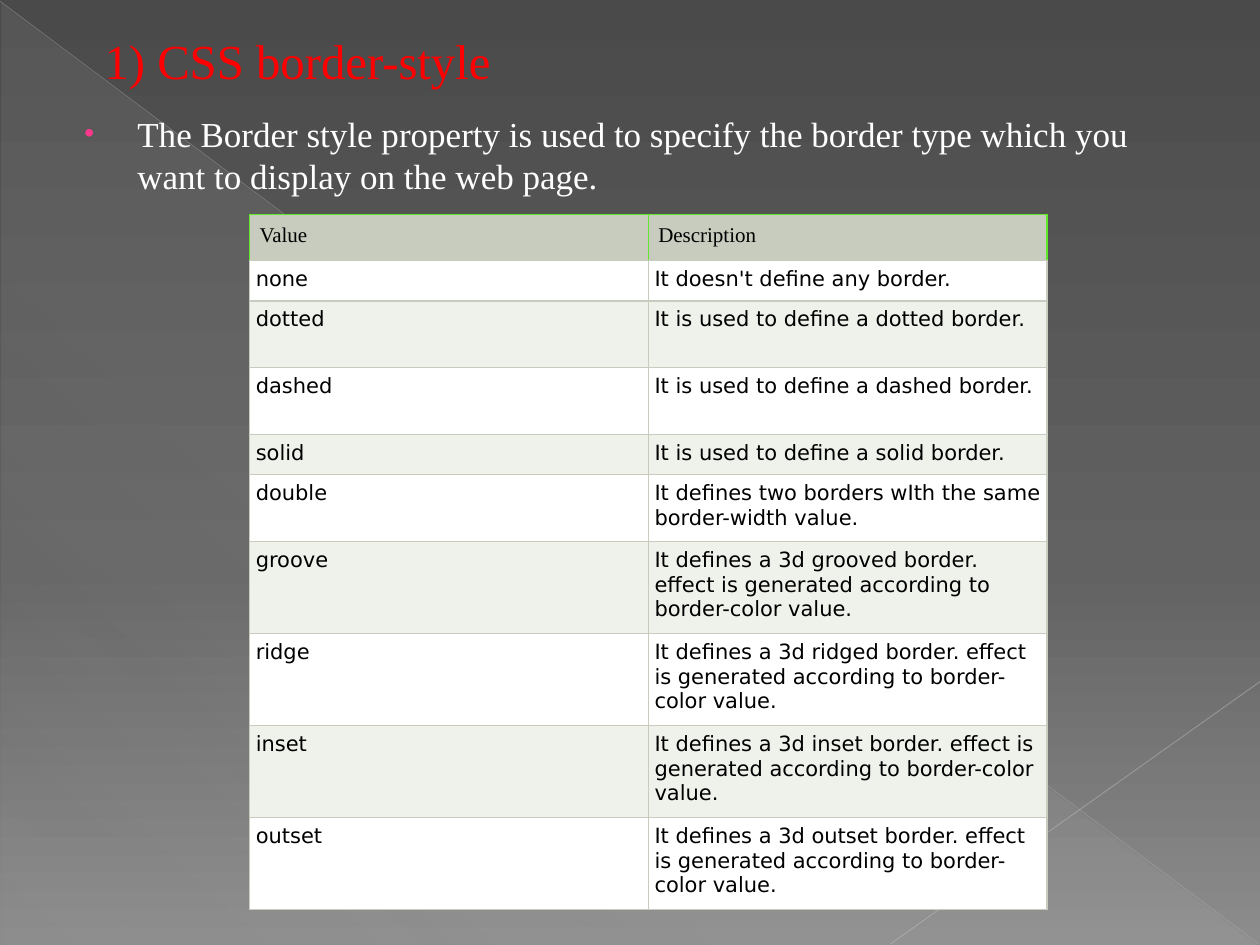
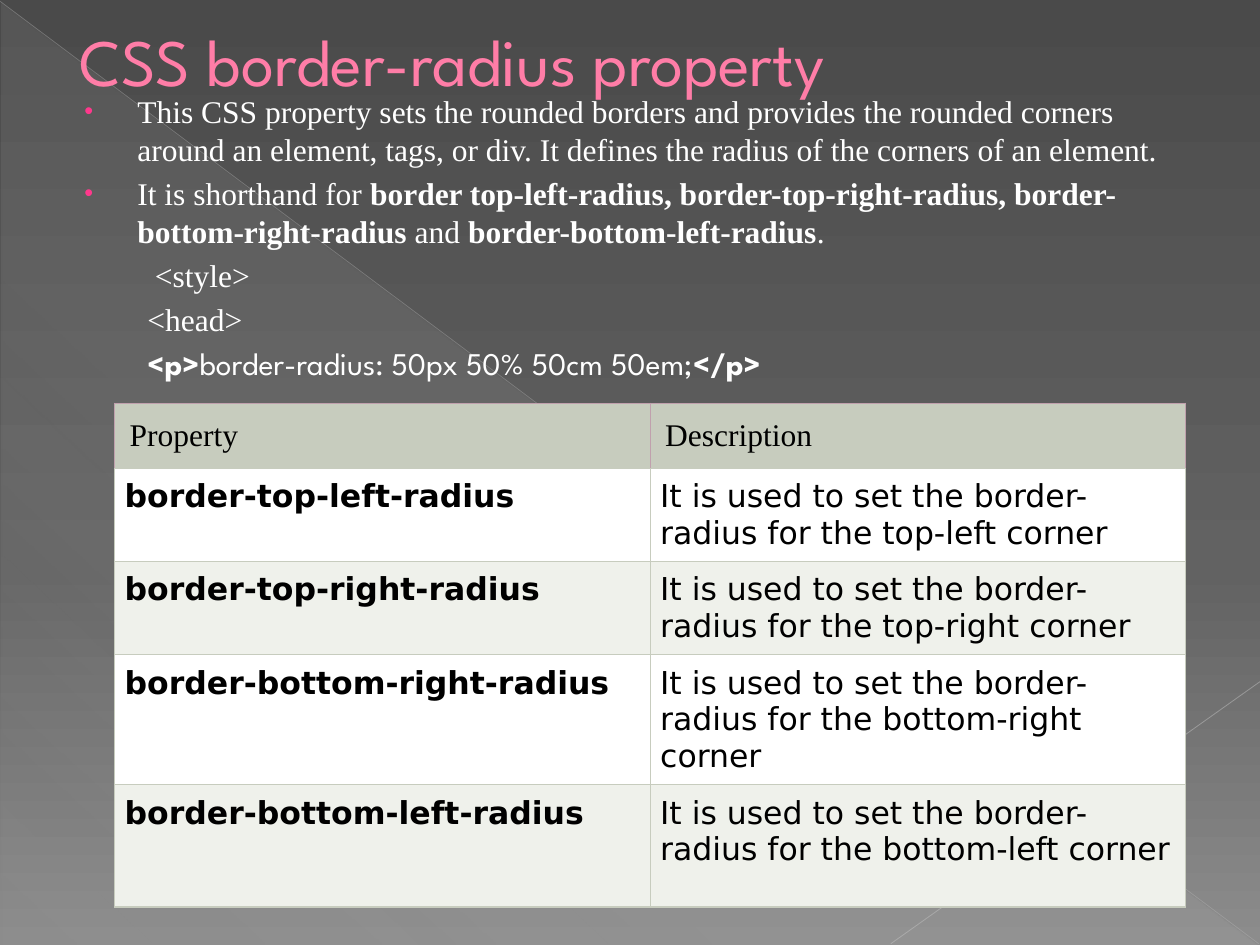
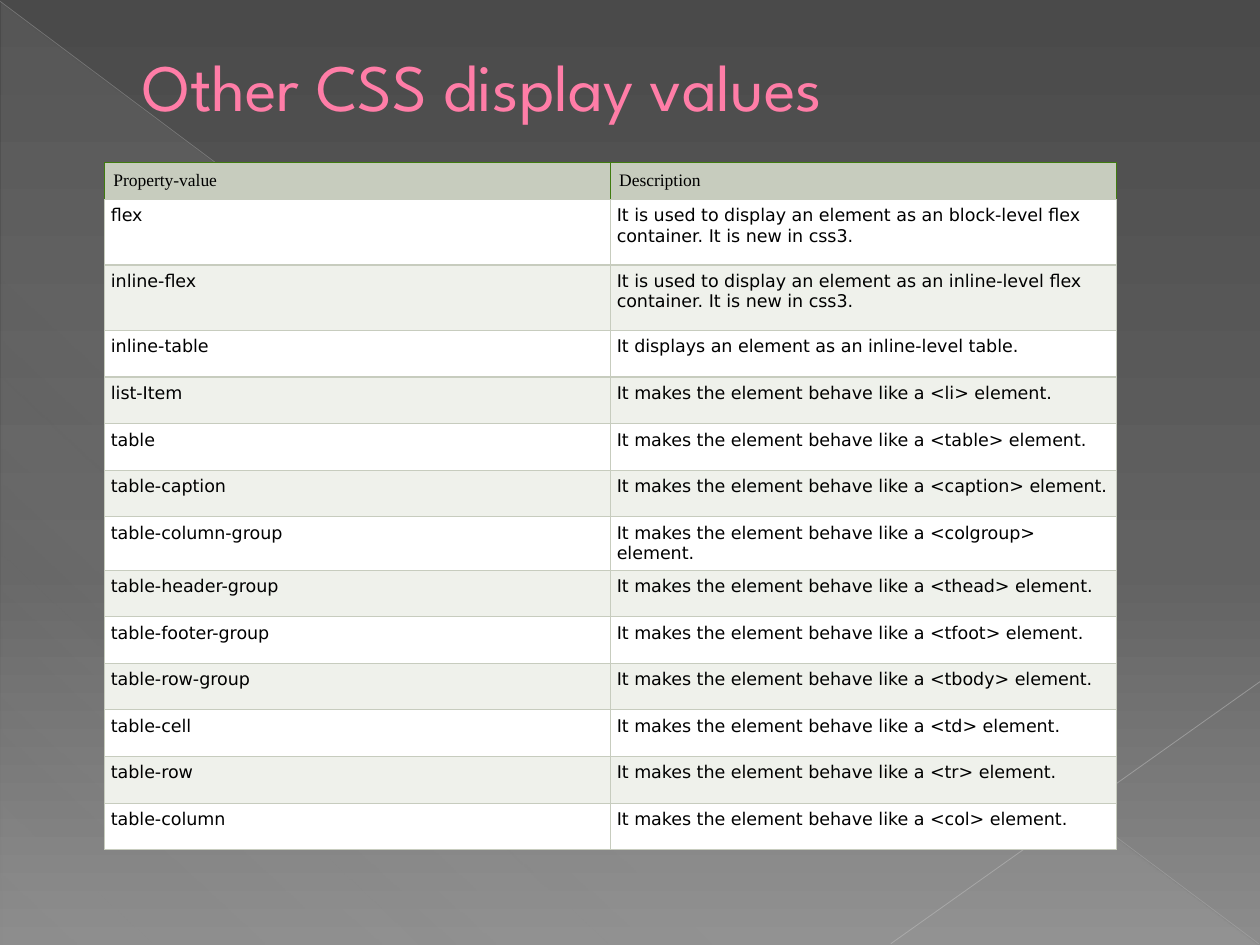
from lxml.etree import SubElement as Sub
from pptx import Presentation
from pptx.dml.color import RGBColor as RGB
from pptx.enum.shapes import MSO_CONNECTOR as Link, MSO_SHAPE as Kind
from pptx.enum.text import MSO_ANCHOR as Anchor, MSO_AUTO_SIZE as Auto, PP_ALIGN as Align
from pptx.oxml.ns import qn
from pptx.util import Inches, Pt

HUES = {
    "dark": "4A4A4A", "mid": "626262", "light": "8C8C8C", "haze": "D2D2D2",
    "long": "BFBFBF", "short": "C6C6C6", "pink": "FF7DA7", "edge": "B12761",
    "dot": "FF388C", "red": "FF0000", "white": "FFFFFF", "black": "000000",
    "head": "C7CCBE", "band": "EFF1EB",
    "lime": "60E72C", "mauve": "C0A0AD", "green": "407B10",
}
SERIF, SANS, ROUND = "Times New Roman", "DejaVu Sans", "League Spartan"

EFFECT = "It defines a 3d {} border. effect is generated according to border-color value."
STYLES = [
    ("Value", "Description"),
    ("none", "It doesn't define any border."),
    *[(name, f"It is used to define a {name} border.") for name in ("dotted", "dashed", "solid")],
    ("double", "It defines two borders wIth the same border-width value."),
    *[(name, EFFECT.format(look)) for name, look in (
        ("groove", "grooved"), ("ridge", "ridged"), ("inset", "inset"), ("outset", "outset"))],
]
CORNERS = [("Property", "Description")] + [
    (f"**border-{side}-radius**", f"It is used to set the border-radius for the {side} corner")
    for side in ("top-left", "top-right", "bottom-right", "bottom-left")]
FLEX = "It is used to display an element as an {}-level flex container. It is new in css3."
LIKE = [
    ("list-Item", "li"), ("table", "table"), ("table-caption", "caption"),
    ("table-column-group", "colgroup"), ("table-header-group", "thead"),
    ("table-footer-group", "tfoot"), ("table-row-group", "tbody"),
    ("table-cell", "td"), ("table-row", "tr"), ("table-column", "col"),
]
VALUES = [
    ("Property-value", "Description"),
    ("flex", FLEX.format("block")),
    ("inline-flex", FLEX.format("inline")),
    ("inline-table", "It displays an element as an inline-level table."),
    *[(name, f"It makes the element behave like a <{tag}> element.") for name, tag in LIKE],
]


def paint(node, hue, alpha=None):
    """Add a colour, with opacity in percent, to an XML node."""
    clr = Sub(node, qn("a:srgbClr"), val=HUES[hue])
    if alpha is not None:
        Sub(clr, qn("a:alpha"), val=str(alpha * 1000))


def shade(fill, node, stops, angle):
    """Give a fill a gradient of (place, hue, opacity) stops."""
    fill.gradient()
    grad = node.find(".//" + qn("a:gradFill"))
    marks = grad.find(qn("a:gsLst"))
    for old in list(marks):
        marks.remove(old)
    for pos, hue, alpha in stops:
        paint(Sub(marks, qn("a:gs"), pos=str(pos * 1000)), hue, alpha)
    grad.find(qn("a:lin")).set("ang", str(angle * 60000))


def place(shape, box):
    shape.left, shape.top, shape.width, shape.height = map(Inches, box)


def style(para, size, font, hue):
    para.font.size, para.font.name = Pt(size), font
    para.font.color.rgb = RGB.from_string(HUES[hue])


def write(para, text):
    """Fill a paragraph; text between double stars is bold."""
    for i, part in enumerate(text.split("**")):
        if part:
            run = para.add_run()
            run.text = part
            if i % 2:
                run.font.bold = True


def indent(para, left, first=0):
    props = para._p.get_or_add_pPr()
    props.set("marL", str(Inches(left)))
    props.set("indent", str(Inches(first)))
    return props


def add_line(slide, ends, hue, width, alpha):
    line = slide.shapes.add_connector(Link.STRAIGHT, *map(Inches, ends))
    line.line.width = Pt(width)
    line.line.color.rgb = RGB.from_string(HUES[hue])
    clr = line.element.find(".//" + qn("a:ln")).find(".//" + qn("a:srgbClr"))
    Sub(clr, qn("a:alpha"), val=str(alpha * 1000))
    Sub(line.element.spPr, qn("a:effectLst"))
    return line


def dress(master, slide):
    """Background, triangle and lines, moved from the slide to the master."""
    shade(master.background.fill, master.element,
          [(0, "dark", None), (60, "mid", None), (100, "light", None)], 90)
    wedge = slide.shapes.add_shape(Kind.RIGHT_TRIANGLE, *map(Inches, (0.01, 0.02, 9.98, 7.48)))
    wedge.shadow.inherit = False
    wedge.line.fill.background()
    shade(wedge.fill, wedge.element, [(0, "haze", 10), (70, "haze", 8), (100, "haze", 1)], 133)
    parts = [
        wedge,
        add_line(slide, (0, 0.01, 9.99, 7.49), "long", 0.39, 35),
        add_line(slide, (10, 5.41, 7.07, 7.49), "short", 0.47, 45),
    ]
    for i, part in enumerate(parts):
        part.element.find(".//" + qn("p:cNvPr")).set("id", str(20 + i))
        master.shapes.element.insert(2 + i, part.element)


def set_title(slide, box, text, size=37.8, font=ROUND, hue="pink"):
    title = slide.shapes.title
    place(title, box)
    frame = title.text_frame
    frame.auto_size, frame.vertical_anchor = Auto.NONE, Anchor.MIDDLE
    frame.margin_top = Inches(0.2)
    para = frame.paragraphs[0]
    write(para, text)
    para.alignment = Align.LEFT
    indent(para, 0.53)
    style(para, size, font, hue)
    # thin outline around the letters
    edge = Sub(para.runs[0]._r.get_or_add_rPr(), qn("a:ln"), w=str(Pt(0.5)))
    paint(Sub(edge, qn("a:solidFill")), "edge")


def set_body(slide, box, size, points, code=()):
    """Bulleted points, then code lines given as (text, indent, font)."""
    body = slide.placeholders[1]
    place(body, box)
    frame = body.text_frame
    frame.auto_size = Auto.NONE
    rows = [(text, None, SERIF) for text in points] + list(code)
    for i, (text, left, font) in enumerate(rows):
        para = frame.add_paragraph() if i else frame.paragraphs[0]
        write(para, text)
        if left is None:
            props = indent(para, 0.49, -0.42)
            paint(Sub(props, qn("a:buClr")), "dot")
            Sub(props, qn("a:buSzPct"), val="80000")
            Sub(props, qn("a:buChar"), char="•")
        else:
            Sub(indent(para, left), qn("a:buNone"))
        style(para, size, font, "white")


def frame_cell(cell, hue):
    """Draw the four borders; the lower one always has the grid colour."""
    props = cell._tc.get_or_add_tcPr()
    for side in "LRTB":
        line = Sub(props, qn("a:ln" + side), w=str(Pt(0.75)))
        paint(Sub(line, qn("a:solidFill")), "head" if side == "B" else hue)


def add_grid(slide, box, rows, highs, size, pads, rim):
    """Two equal columns; pads are the cell margins of head and body."""
    table = slide.shapes.add_table(len(rows), 2, *map(Inches, box)).table
    table.first_row = table.horz_banding = False
    for col in table.columns:
        col.width = Inches(box[2] / 2)
    for i, (row, high) in enumerate(zip(rows, highs)):
        table.rows[i].height = Inches(high)
        pad = Inches(pads[min(i, 1)])
        fill = "head" if i == 0 else "white" if i % 2 else "band"
        for cell, text in zip(table.rows[i].cells, row):
            cell.margin_left = cell.margin_right = cell.margin_top = cell.margin_bottom = pad
            frame_cell(cell, "head" if i else rim)
            cell.fill.solid()
            cell.fill.fore_color.rgb = RGB.from_string(HUES[fill])
            para = cell.text_frame.paragraphs[0]
            write(para, text)
            style(para, size, SANS if i else SERIF, "black")


def style_slide(slide):
    set_title(slide, (0.2, 0.13, 9, 0.55), "1) CSS border-style", 27.9, SERIF, "red")
    set_body(slide, (0.5, 0.84, 9, 6.22), 20, [
        "The Border style property is used to specify the border type which you "
        "want to display on the web page."])
    highs = [0.37, 0.32, 0.53, 0.53, 0.32, 0.53] + [0.73] * 4
    add_grid(slide, (1.98, 1.7, 6.33, 5.52), STYLES, highs, 12, (0.08, 0.05), "lime")


def radius_slide(slide):
    set_title(slide, (0, 0.13, 9, 0.55), "CSS border-radius property")
    set_body(slide, (0.5, 0.68, 9, 6.38), 18, [
        "This CSS property sets the rounded borders and provides the rounded corners "
        "around an element, tags, or div. It defines the radius of the corners of an element.",
        "It is shorthand for **border top-left-radius, border-top-right-radius, "
        "border-bottom-right-radius** and **border-bottom-left-radius**.",
    ], [
        ("<style>", 0.63, SERIF),
        ("<head>", 0.57, SERIF),
        ("**<p>**border-radius: 50px 50% 50cm 50em;**</p>**", 0.57, ROUND),
    ])
    highs = [0.5, 0.69, 0.69, 0.97, 0.97]
    add_grid(slide, (0.91, 3.2, 8.5, 4.21), CORNERS, highs, 18, (0.12, 0.08), "mauve")


def value_slide(slide):
    set_title(slide, (0.5, 0.29, 9, 0.62), "Other CSS display values")
    highs = [0.29, 0.52, 0.52] + [0.37] * 11
    add_grid(slide, (0.83, 1.29, 8.03, 5.57), VALUES, highs, 10, (0.07, 0.05), "green")


def main():
    deck = Presentation()
    deck.slide_width, deck.slide_height = Inches(10), Inches(7.5)
    # layout 1 has a title and a body, layout 5 only a title
    for build, kind in ((style_slide, 1), (radius_slide, 1), (value_slide, 5)):
        build(deck.slides.add_slide(deck.slide_layouts[kind]))
    dress(deck.slide_master, deck.slides[0])
    deck.save("out.pptx")


if __name__ == "__main__":
    main()
